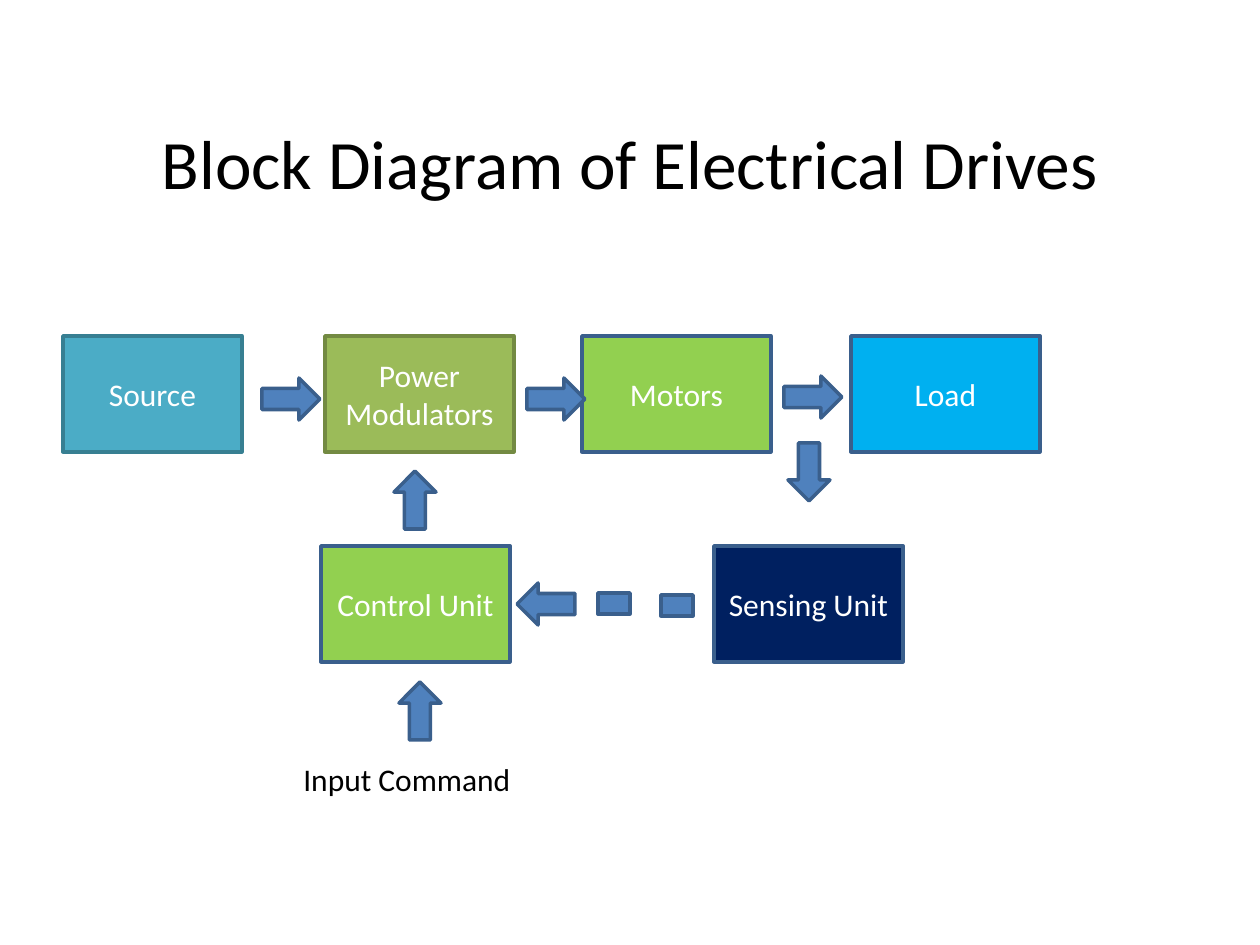
"""Build the block diagram of electrical drives slide."""
from pptx import Presentation
from pptx.dml.color import RGBColor
from pptx.enum.shapes import MSO_SHAPE
from pptx.enum.text import MSO_ANCHOR, PP_ALIGN
from pptx.util import Emu, Pt

PX = 914400 // 126
FONT = "Calibri"
WHITE = RGBColor(0xFF, 0xFF, 0xFF)
BLACK = RGBColor(0x00, 0x00, 0x00)
BLUE = RGBColor(0x4F, 0x81, 0xBD)
BLUE_LINE = RGBColor(0x3A, 0x5F, 0x8C)
TEAL = RGBColor(0x4B, 0xAC, 0xC6)
TEAL_LINE = RGBColor(0x37, 0x7F, 0x92)
OLIVE = RGBColor(0x9B, 0xBB, 0x59)
OLIVE_LINE = RGBColor(0x73, 0x8A, 0x42)
GREEN = RGBColor(0x92, 0xD0, 0x50)
SKY = RGBColor(0x00, 0xB0, 0xF0)
NAVY = RGBColor(0x00, 0x20, 0x60)

TOP_ROW, BOTTOM_ROW, BLOCK_H = 336, 546, 116
BLOCKS = [
    ("Source", 63, TOP_ROW, 179, TEAL, TEAL_LINE),
    ("Power Modulators", 325, TOP_ROW, 189, OLIVE, OLIVE_LINE),
    ("Motors", 582, TOP_ROW, 189, GREEN, BLUE_LINE),
    ("Load", 851, TOP_ROW, 189, SKY, BLUE_LINE),
    ("Sensing Unit", 714, BOTTOM_ROW, 189, NAVY, BLUE_LINE),
    ("Control Unit", 321, BOTTOM_ROW, 189, GREEN, BLUE_LINE),
]
RIGHT, DOWN, LEFT, UP = 0, 90, 180, 270
ARROW_W, ARROW_H = 58, 42
ARROWS = [
    (291, 399, RIGHT), (556, 399, RIGHT), (813, 397, RIGHT),
    (415, 500, UP), (809, 472, DOWN), (546, 604, LEFT), (420, 711, UP),
]
DASH_W, DASH_H = 32, 21
DASHES = [(598, 593), (661, 595)]
TEXTS = [
    ("Block Diagram of Electrical Drives", (63, 83, 1134, 157), 39.6,
     PP_ALIGN.CENTER, MSO_ANCHOR.MIDDLE),
    ("Input Command", (291, 754, 276, 50), 18, PP_ALIGN.LEFT, MSO_ANCHOR.TOP),
]


def px(*values):
    return [Emu(round(v * PX)) for v in values]


def write(sp, text, size, color, align, anchor):
    tf = sp.text_frame
    tf.word_wrap = True
    tf.vertical_anchor = anchor
    p = tf.paragraphs[0]
    p.text = text
    p.alignment = align
    p.font.name = FONT
    p.font.size = Pt(size)
    p.font.color.rgb = color


def add_shape(s, kind, box, fill=BLUE, line=BLUE_LINE):
    sp = s.shapes.add_shape(kind, *px(*box))
    sp.shadow.inherit = False
    sp.fill.solid()
    sp.fill.fore_color.rgb = fill
    sp.line.color.rgb = line
    sp.line.width = Pt(2)
    return sp


def main():
    prs = Presentation()
    prs.slide_width, prs.slide_height = px(1260, 945)
    s = prs.slides.add_slide(prs.slide_layouts[6])
    for text, x, y, w, fill, line in BLOCKS:
        sp = add_shape(s, MSO_SHAPE.RECTANGLE, (x, y, w, BLOCK_H), fill, line)
        write(sp, text, 18, WHITE, PP_ALIGN.CENTER, MSO_ANCHOR.MIDDLE)
    for cx, cy, angle in ARROWS:
        box = (cx - ARROW_W / 2, cy - ARROW_H / 2, ARROW_W, ARROW_H)
        add_shape(s, MSO_SHAPE.RIGHT_ARROW, box).rotation = angle
    for x, y in DASHES:
        add_shape(s, MSO_SHAPE.RECTANGLE, (x, y, DASH_W, DASH_H))
    for text, box, size, align, anchor in TEXTS:
        write(s.shapes.add_textbox(*px(*box)), text, size, BLACK, align, anchor)
    prs.save("out.pptx")


if __name__ == "__main__":
    main()
